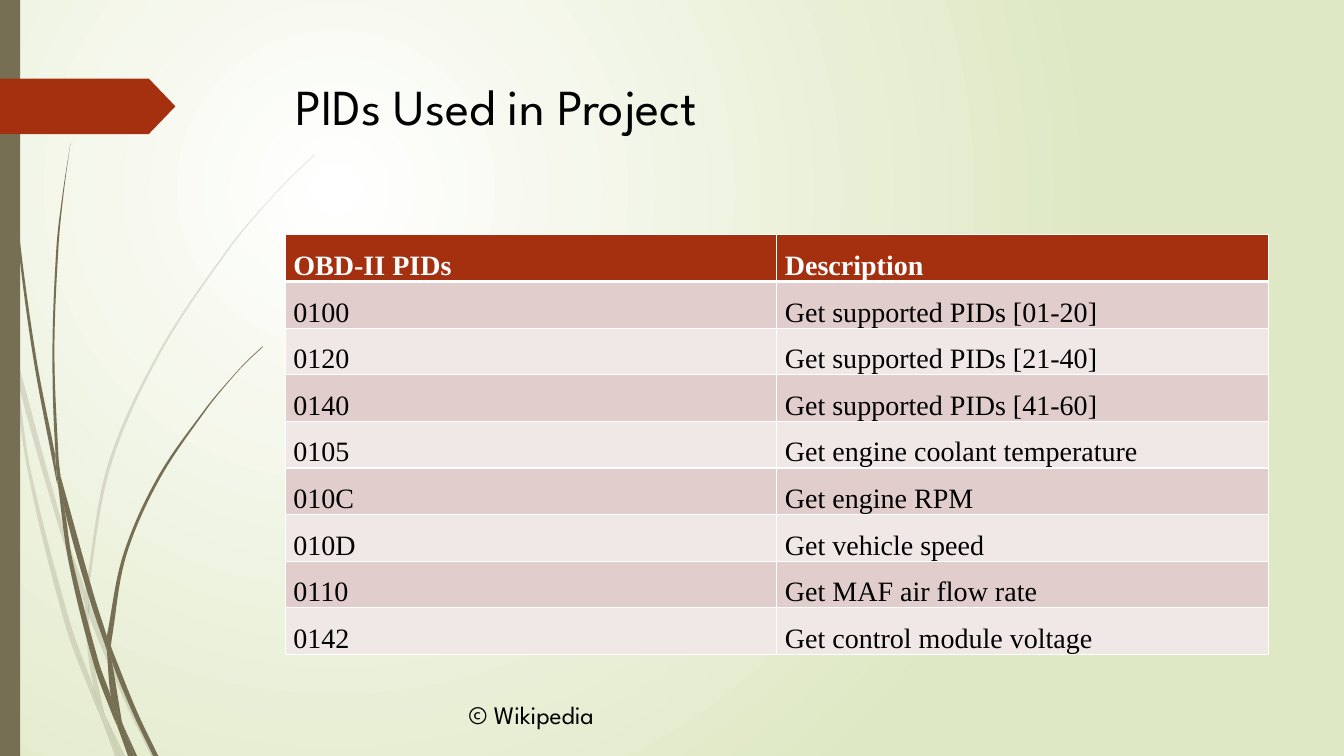
from math import dist

from lxml import etree
from pptx import Presentation
from pptx.dml.color import RGBColor
from pptx.enum.shapes import MSO_SHAPE as Shape
from pptx.enum.text import MSO_ANCHOR as Anchor, PP_ALIGN as Align
from pptx.oxml.ns import qn
from pptx.util import Inches, Pt

TITLE = "PIDs Used in Project"
CREDIT = "© Wikipedia"
ROWS = [
    ("OBD-II PIDs", "Description"),
    ("0100", "Get supported PIDs [01-20]"),
    ("0120", "Get supported PIDs [21-40]"),
    ("0140", "Get supported PIDs [41-60]"),
    ("0105", "Get engine coolant temperature"),
    ("010C", "Get engine RPM"),
    ("010D", "Get vehicle speed"),
    ("0110", "Get MAF air flow rate"),
    ("0142", "Get control module voltage"),
]

WHITE = RGBColor(0xFF, 0xFF, 0xFF)
BLACK = RGBColor(0, 0, 0)
LIME = RGBColor(0xDF, 0xE8, 0xC4)
OLIVE = RGBColor(0x76, 0x6F, 0x54)
RUST = RGBColor(0xA5, 0x30, 0x10)
BANDS = [RGBColor(0xF0, 0xE8, 0xE7), RGBColor(0xE1, 0xCD, 0xCC)]
HEAD_FONT, CELL_FONT = "League Spartan", "Times New Roman"

# Each piece of grass: its left edge and its right edge, from tip to root
PALE_GRASS = [
    ([(0, 2.99), (0.1, 3.44), (0.11, 3.5)], [(0, 2.82), (0.09, 3.22), (0.11, 3.5)]),
    ([(0.14, 3.45), (0.17, 3.76), (0.58, 5.22), (0.84, 5.99)],
     [(0.14, 3.45), (0.62, 5.2), (0.85, 5.86)]),
    ([(0.88, 5.96), (0.88, 6.1), (1.23, 6.94), (1.5, 7.5)],
     [(0.88, 5.96), (0.92, 6.07), (1.27, 6.92), (1.55, 7.5)]),
    ([(1.05, 7.11), (1.19, 7.5)], [(1.05, 7.11), (1.24, 7.5)]),
    ([(0.11, 3.5), (0.28, 4.7), (0.65, 6.21), (0.92, 6.93), (1.01, 7.14)],
     [(0.11, 3.5), (0.17, 3.76), (0.31, 4.69), (0.7, 6.19), (0.93, 6.83),
      (0.99, 7.07), (1.01, 7.14)]),
    ([(0.84, 5.99), (0.87, 6.46), (0.93, 6.83), (0.96, 6.92), (1.05, 7.11)],
     [(0.84, 5.99), (0.88, 6.08), (0.88, 6.1), (0.91, 6.46), (1.03, 7.06),
      (1.05, 7.11)]),
    ([(3.12, 1.53), (2.89, 1.75), (2.68, 1.97), (2.28, 2.44), (1.58, 3.48),
      (1.07, 4.61), (0.85, 5.84), (0.85, 5.86), (0.88, 5.96)],
     [(3.12, 1.54), (2.9, 1.75), (2.68, 1.98), (2.29, 2.45), (1.6, 3.49),
      (1.1, 4.62), (0.88, 5.84), (0.88, 5.96)]),
    ([(1.01, 7.14), (1.14, 7.5)], [(1.01, 7.14), (1.19, 7.5)]),
    ([(0.85, 5.86), (0.84, 5.99), (0.88, 6.08)],
     [(0.85, 5.86), (0.88, 5.96), (0.88, 6.1)]),
    ([(0.93, 6.83), (0.99, 7.07), (1.01, 7.14), (1.19, 7.5)],
     [(0.93, 6.83), (0.96, 6.92), (1.05, 7.11), (1.19, 7.5)]),
]
DARK_GRASS = [
    ([(0.03, 0), (0.04, 0.48), (0.07, 1.1), (0.17, 2.33), (0.33, 3.55),
      (0.56, 4.77), (0.57, 4.81)],
     [(0.04, 0), (0.05, 0.48), (0.08, 1.09), (0.19, 2.32), (0.36, 3.55),
      (0.55, 4.53), (0.55, 4.57), (0.57, 4.81)]),
    ([(0.6, 4.72), (0.64, 5.05), (0.88, 5.92), (1.06, 6.45)],
     [(0.6, 4.72), (0.93, 5.9), (1.06, 6.31), (1.06, 6.33)]),
    ([(1.1, 6.41), (1.11, 6.56), (1.32, 7.08), (1.52, 7.5)],
     [(1.1, 6.41), (1.13, 6.49), (1.36, 7.06), (1.57, 7.5)]),
    ([(0.57, 4.77), (0.68, 5.57), (0.93, 6.59), (1.11, 7.08), (1.17, 7.22)],
     [(0.57, 4.77), (0.64, 5.05), (0.72, 5.56), (0.98, 6.57), (1.1, 6.91),
      (1.16, 7.17), (1.17, 7.22)]),
    ([(0.7, 1.41), (0.62, 1.93), (0.56, 2.45), (0.52, 3.49), (0.55, 4.49),
      (0.6, 4.72)],
     [(0.7, 1.41), (0.63, 1.93), (0.58, 2.45), (0.54, 3.49), (0.58, 4.53),
      (0.6, 4.72)]),
    ([(1.22, 7.19), (1.33, 7.5)], [(1.22, 7.19), (1.36, 7.5)]),
    ([(0.55, 4.49), (0.55, 4.53), (0.57, 4.77), (0.64, 5.05)],
     [(0.55, 4.49), (0.6, 4.72), (0.64, 5.05)]),
    ([(2.6, 3.44), (2.45, 3.58), (2.31, 3.73), (2.04, 4.05), (1.56, 4.74),
      (1.22, 5.51), (1.06, 6.31)],
     [(2.61, 3.44), (2.45, 3.59), (2.31, 3.74), (2.05, 4.06), (1.58, 4.76),
      (1.25, 5.52), (1.11, 6.33), (1.1, 6.41)]),
    ([(1.17, 7.22), (1.27, 7.5)], [(1.17, 7.22), (1.31, 7.5)]),
    ([(1.06, 6.45), (1.1, 6.91), (1.16, 7.06), (1.22, 7.19)],
     [(1.06, 6.45), (1.09, 6.51), (1.11, 6.56), (1.21, 7.16), (1.22, 7.19)]),
    ([(1.06, 6.31), (1.06, 6.45), (1.09, 6.51), (1.11, 6.56)],
     [(1.06, 6.31), (1.1, 6.41), (1.11, 6.56)]),
    ([(1.1, 6.91), (1.16, 7.17), (1.17, 7.22), (1.3, 7.5)],
     [(1.1, 6.91), (1.16, 7.06), (1.22, 7.19), (1.33, 7.5)]),
]


def bend(knots):
    """Bezier triples (two controls, end) of a smooth curve through the knots."""
    last = len(knots) - 1
    gaps = [dist(a, b) for a, b in zip(knots, knots[1:])]
    slopes = []
    for i in range(last + 1):
        before, after = max(i - 1, 0), min(i + 1, last)
        span = sum(gaps[before:after])
        slopes.append([(b - a) / span for a, b in zip(knots[before], knots[after])])
    return [([a + m * gap / 3 for a, m in zip(knots[i], slopes[i])],
             [b - n * gap / 3 for b, n in zip(knots[i + 1], slopes[i + 1])],
             knots[i + 1]) for i, gap in enumerate(gaps)]


def paint(shape, color, alpha=None):
    shape.shadow.inherit = False
    shape.fill.solid()
    shape.fill.fore_color.rgb = color
    shape.line.fill.background()
    if alpha:
        tint = shape.element.spPr.find(qn("a:solidFill"))[0]
        etree.SubElement(tint, qn("a:alpha"), val=str(alpha * 1000))


def draw_blade(shapes, left, right, alpha):
    back = right[::-1]
    knots = [(Inches(x), Inches(y)) for x, y in left + back]
    pen = shapes.build_freeform(*knots[0])
    pen.add_line_segments(knots[1:], close=True)
    blade = pen.convert_to_shape()
    curves = bend(left) + [None] + bend(back)
    for line, curve in zip(list(blade.element.iter(qn("a:lnTo"))), curves):
        if curve:
            line.tag = qn("a:cubicBezTo")
            line.remove(line[0])
            for x, y in curve:
                etree.SubElement(line, qn("a:pt"), x=str(Inches(x) - blade.left),
                                 y=str(Inches(y) - blade.top))
    paint(blade, OLIVE, alpha)


def write(frame, text, size, face, color, bold=False):
    para = frame.paragraphs[0]
    para.text = text
    para.alignment = Align.LEFT
    for key, value in {"size": Pt(size), "name": face, "bold": bold}.items():
        setattr(para.font, key, value)
    para.font.color.rgb = color
    return para


def edge_cell(cell, bottom):
    """White borders round a cell, with the bottom width in points."""
    props = cell._tc.get_or_add_tcPr()
    for i, (side, width) in enumerate(zip("LRTB", (1, 1, 1, bottom))):
        line = etree.Element(qn("a:ln" + side), w=str(Pt(width)))
        fill = etree.SubElement(line, qn("a:solidFill"))
        etree.SubElement(fill, qn("a:srgbClr"), val=str(WHITE))
        props.insert(i, line)


def fill_back(slide):
    fill = slide.background.fill
    fill.gradient()
    for stop, color, place in zip(fill.gradient_stops, (WHITE, LIME), (0, 1)):
        stop.color.rgb = color
        stop.position = place
    grad = next(slide.element.iter(qn("a:gradFill")))
    grad.remove(grad.find(qn("a:lin")))
    glow = etree.SubElement(grad, qn("a:path"), {"path": "circle"})
    etree.SubElement(glow, qn("a:fillToRect"),
                     l="50000", t="50000", r="100000", b="100000")


def add_grid(shapes):
    grid = shapes.add_table(len(ROWS), 2, Inches(2.83), Inches(2.33),
                            Inches(9.75), Inches(0.41 * len(ROWS))).table
    for r, row in enumerate(ROWS):
        head = r == 0
        for c, text in enumerate(row):
            cell = grid.cell(r, c)
            cell.margin_left = cell.margin_right = Inches(0.08)
            cell.margin_top = cell.margin_bottom = 0
            cell.fill.solid()
            cell.fill.fore_color.rgb = RUST if head else BANDS[r % 2]
            edge_cell(cell, 3 if head else 1)
            color = WHITE if head else BLACK
            write(cell.text_frame, text, 20, CELL_FONT, color, head).line_spacing = 1.5


def main():
    deck = Presentation()
    deck.slide_width, deck.slide_height = Inches(13.33), Inches(7.5)
    slide = deck.slides.add_slide(deck.slide_layouts[5])
    shapes = slide.shapes
    fill_back(slide)
    for grass, alpha in ((PALE_GRASS, 20), (DARK_GRASS, None)):
        for left, right in grass:
            draw_blade(shapes, left, right, alpha)
    paint(shapes.add_shape(Shape.RECTANGLE, 0, 0, Inches(0.2), Inches(7.5)), OLIVE)
    flag = shapes.add_shape(Shape.PENTAGON, 0, Inches(0.78), Inches(1.74), Inches(0.55))
    flag.adjustments[0] = 0.48
    paint(flag, RUST)

    title = shapes.title
    title.left, title.top = Inches(2.83), Inches(0.69)
    title.width, title.height = Inches(9.75), Inches(1.4)
    title.text_frame.vertical_anchor = Anchor.TOP
    write(title.text_frame, TITLE, 36, HEAD_FONT, BLACK)
    add_grid(shapes)
    credit = shapes.add_textbox(Inches(4.55), Inches(6.89), Inches(2.28), Inches(0.4))
    credit.text_frame.word_wrap = True
    write(credit.text_frame, CREDIT, 18, HEAD_FONT, BLACK)
    deck.save("out.pptx")


if __name__ == "__main__":
    main()
